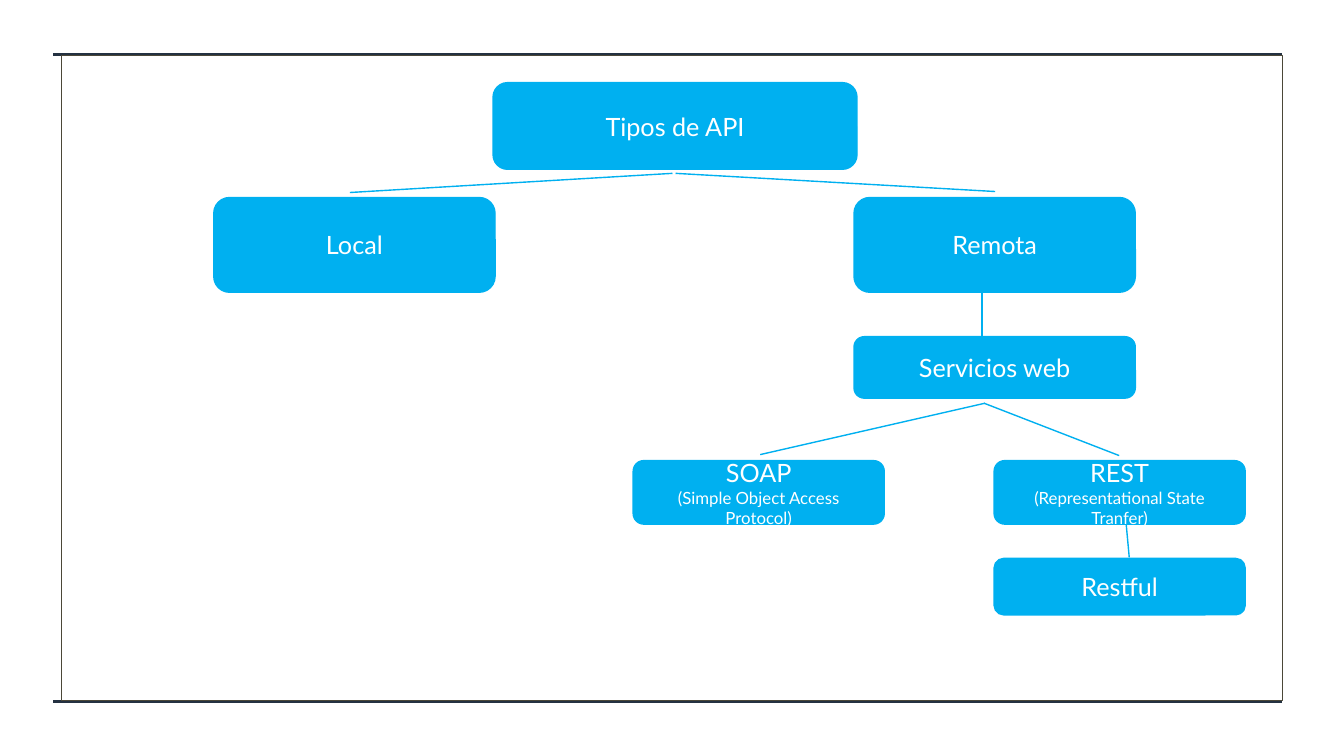
from lxml.etree import SubElement
from pptx import Presentation
from pptx.dml.color import RGBColor
from pptx.enum.shapes import MSO_CONNECTOR, MSO_SHAPE
from pptx.enum.text import MSO_ANCHOR, PP_ALIGN
from pptx.oxml.ns import qn
from pptx.util import Inches, Pt

WHITE, SKY, NAVY, OLIVE = "FFFFFF", "00B0F0", "243141", "4B4738"
TEXT_FORMAT = {"name": "Lato", "bold": False}
FRAME_FORMAT = {"word_wrap": True, "vertical_anchor": MSO_ANCHOR.MIDDLE}

BRANCH_SIZE = (2.79, 0.94)
LEAF_SIZE = (2.49, 0.63)
LOCAL_LEFT, REMOTE_LEFT, SOAP_LEFT, REST_LEFT = 2.12, 8.47, 6.28, 9.86
BRANCH_TOP, LEAF_TOP = 1.96, 4.57

NODES = [
    ((4.89, 0.82, 3.61, 0.86), "Tipos de API", None),
    ((LOCAL_LEFT, BRANCH_TOP, *BRANCH_SIZE), "Local", None),
    ((REMOTE_LEFT, BRANCH_TOP, *BRANCH_SIZE), "Remota", None),
    ((REMOTE_LEFT, 3.34, BRANCH_SIZE[0], 0.61), "Servicios web", None),
    ((SOAP_LEFT, LEAF_TOP, *LEAF_SIZE), "SOAP", "(Simple Object Access Protocol)"),
    ((REST_LEFT, LEAF_TOP, *LEAF_SIZE), "REST", "(Representational State Tranfer)"),
    ((REST_LEFT, 5.54, LEAF_SIZE[0], 0.56), "Restful", None),
]
BRANCHES = [
    ((6.7, 1.72), (9.87, 1.9)),
    ((6.67, 1.72), (3.47, 1.91)),
    ((9.74, 2.91), (9.74, 3.35)),
    ((9.77, 4), (7.54, 4.51)),
    ((9.76, 4), (11.1, 4.52)),
    ((11.17, 5.2), (11.2, 5.53)),
]


def color(hex_value):
    """Turn a hex string into a colour."""
    return RGBColor.from_string(hex_value)


def add_box(slide, preset, bounds, fill, outline):
    """Add a filled and outlined shape without a shadow."""
    box = slide.shapes.add_shape(preset, *map(Inches, bounds))
    box.shadow.inherit = False
    box.fill.solid()
    box.fill.fore_color.rgb = color(fill)
    box.line.color.rgb = color(outline)
    box.line.width = Pt(1)
    return box


def add_line(slide, start, end, stroke, width=1):
    """Add a straight connector without a shadow."""
    line = slide.shapes.add_connector(
        MSO_CONNECTOR.STRAIGHT, *map(Inches, (*start, *end)))
    line.line.color.rgb = color(stroke)
    line.line.width = Pt(width)
    SubElement(line._element.spPr, qn("a:effectLst"))


def write_line(paragraph, text, size):
    """Write one centred white line of text."""
    paragraph.alignment = PP_ALIGN.CENTER
    run = paragraph.add_run()
    run.text = text
    run.font.size = Pt(size)
    run.font.color.rgb = color(WHITE)
    for attribute, value in TEXT_FORMAT.items():
        setattr(run.font, attribute, value)


def add_node(slide, bounds, name, meaning):
    """Add a rounded node with its name and optional meaning."""
    node = add_box(slide, MSO_SHAPE.ROUNDED_RECTANGLE, bounds, SKY, SKY)
    frame = node.text_frame
    for attribute, value in FRAME_FORMAT.items():
        setattr(frame, attribute, value)
    write_line(frame.paragraphs[0], name, 18)
    if meaning:
        write_line(frame.add_paragraph(), meaning, 12)


def main():
    """Build the tree of API types."""
    deck = Presentation()
    deck.slide_width, deck.slide_height = Inches(13.33), Inches(7.5)
    slide = deck.slides.add_slide(deck.slide_layouts[6])
    for rule_top in (0.54, 6.96):
        add_line(slide, (0.53, rule_top), (12.72, rule_top), NAVY, 2.25)
    add_box(slide, MSO_SHAPE.RECTANGLE, (0.61, 0.55, 12.11, 6.4), WHITE, OLIVE)
    for bounds, name, meaning in NODES:
        add_node(slide, bounds, name, meaning)
    for start, end in BRANCHES:
        add_line(slide, start, end, SKY)
    deck.save("out.pptx")


if __name__ == "__main__":
    main()
